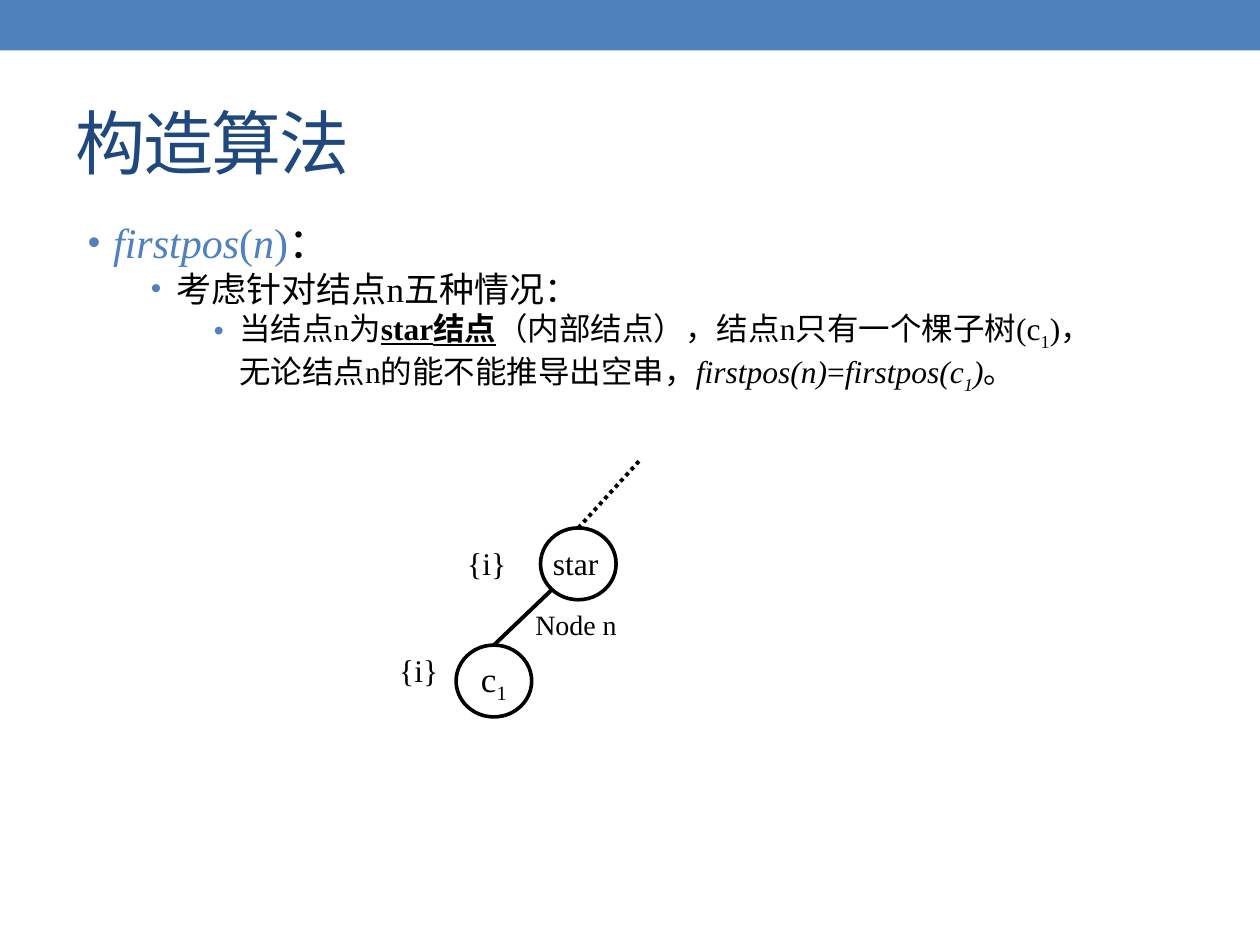
import pptx
import pptx.util
import pptx.dml.color
import pptx.enum.dml
import pptx.enum.shapes
import pptx.enum.text
import pptx.oxml.ns
from lxml import etree

Inches, Pt = pptx.util.Inches, pptx.util.Pt
SHAPE = pptx.enum.shapes.MSO_SHAPE
ANCHOR = pptx.enum.text.MSO_ANCHOR
ALIGN = pptx.enum.text.PP_ALIGN
qn = pptx.oxml.ns.qn

COLORS = {"accent": "4F81BD", "title": "1F497D", "ink": "000000"}
LATIN, CJK = "Times New Roman", "Noto Sans CJK SC"
NODE_W, NODE_H = 0.6, 0.57


def rgb(name):
    return pptx.dml.color.RGBColor.from_string(COLORS[name])


def add_run(paragraph, text, size, color="ink", latin=LATIN, style=""):
    """Style letters: b bold, u underline, i italic, s subscript."""
    run = paragraph.add_run()
    run.text = text
    font = run.font
    font.size, font.name = Pt(size), latin
    font.color.rgb = rgb(color)
    font.bold, font.italic, font.underline = "b" in style, "i" in style, "u" in style
    props = run._r.get_or_add_rPr()
    latin_tag = props.find(qn("a:latin"))
    east_asian = etree.Element(qn("a:ea"), typeface=CJK)
    latin_tag.addnext(east_asian)
    if "s" in style:
        props.set("baseline", "-25000")
    return run


def add_text(slide, left, top, width, height):
    frame = slide.shapes.add_textbox(
        Inches(left), Inches(top), Inches(width), Inches(height)).text_frame
    frame.word_wrap = True
    return frame


def add_label(slide, text, left, top, width, height=0.4, size=18):
    frame = add_text(slide, left, top, width, height)
    add_run(frame.paragraphs[0], text, size)


def set_bullet(paragraph, indent, percent):
    props = paragraph._p.get_or_add_pPr()
    props.set("marL", str(Inches(indent)))
    props.set("indent", str(-Inches(0.2)))
    color = etree.SubElement(props, qn("a:buClr"))
    etree.SubElement(color, qn("a:srgbClr"), val=COLORS["accent"])
    etree.SubElement(props, qn("a:buSzPct"), val=str(percent * 1000))
    etree.SubElement(props, qn("a:buFont"), typeface="Arial")
    etree.SubElement(props, qn("a:buChar"), char="•")


def add_node(slide, left, top):
    node = slide.shapes.add_shape(
        SHAPE.OVAL, Inches(left), Inches(top), Inches(NODE_W), Inches(NODE_H))
    node.shadow.inherit = False
    node.fill.background()
    node.line.color.rgb = rgb("ink")
    node.line.width = Pt(2.08)
    return node


def add_edge(slide, start, end, dash=None):
    edge = slide.shapes.add_connector(
        pptx.enum.shapes.MSO_CONNECTOR.STRAIGHT, *map(Inches, start + end))
    edge.line.color.rgb = rgb("ink")
    edge.line.width = Pt(2.25)
    if dash:
        edge.line.dash_style = dash
    etree.SubElement(edge._element.spPr, qn("a:effectLst"))
    return edge


def add_header(slide):
    band = slide.shapes.add_shape(SHAPE.RECTANGLE, 0, 0, Inches(10), Inches(0.4))
    band.shadow.inherit = False
    band.fill.solid()
    band.fill.fore_color.rgb = rgb("accent")
    band.line.fill.background()

    title = add_text(slide, 0.5, 0.58, 9, 1.08)
    title.vertical_anchor = ANCHOR.MIDDLE
    run = add_run(title.paragraphs[0], "构造算法", 40, "title", CJK)
    run._r.get_or_add_rPr().set("spc", "-100")


def add_outline(slide):
    # Each level: left indent, bullet percent, text size, (text, style, color) runs
    levels = [
        (0.2, 85, 24, [("firstpos", "i", "accent"), ("(", "", "accent"),
                       ("n", "i", "accent"), (")", "", "accent"), ("：", "", "ink")]),
        (0.7, 85, 20, [("考虑针对结点n五种情况：", "", "ink")]),
        (1.2, 90, 18, [("当结点n为", "", "ink"), ("star结点", "bu", "ink"),
                       ("（内部结点），结点n只有一个棵子树(c", "", "ink"),
                       ("1", "s", "ink"),
                       (")，无论结点n的能不能推导出空串，", "", "ink"),
                       ("firstpos(n)", "i", "ink"), ("=", "", "ink"),
                       ("firstpos(c", "i", "ink"), ("1", "is", "ink"),
                       (")", "i", "ink"), ("。", "", "ink")]),
    ]
    body = add_text(slide, 0.6, 1.67, 8.44, 5.59)
    body.margin_right = Inches(0.3)
    for level, (indent, percent, size, runs) in enumerate(levels):
        paragraph = body.paragraphs[0] if level == 0 else body.add_paragraph()
        paragraph.level = level
        set_bullet(paragraph, indent, percent)
        for text, style, color in runs:
            add_run(paragraph, text, size, color, style=style)


def add_tree(slide):
    # Nodes
    star = add_node(slide, 4.29, 4.19)
    child = add_node(slide, 3.62, 5.12)
    child_text = child.text_frame
    child_text.word_wrap = False
    child_text.vertical_anchor = ANCHOR.MIDDLE
    child_text.paragraphs[0].alignment = ALIGN.CENTER
    add_run(child_text.paragraphs[0], "c", 20)
    add_run(child_text.paragraphs[0], "1", 20, style="s")

    # Edges to the parent and to the child
    parent_edge = add_edge(slide, (4.59, 4.19), (5.09, 3.64),
                           pptx.enum.dml.MSO_LINE.ROUND_DOT)
    parent_edge.begin_connect(star, 0)
    child_edge = add_edge(slide, (4.38, 4.68), (3.92, 5.12))
    child_edge.end_connect(child, 0)

    # Labels
    add_label(slide, "Node n", 4.15, 4.77, 1.69, 0.37, size=16)
    add_label(slide, "{i}", 3.07, 5.12, 1.08)
    add_label(slide, "{i}", 3.61, 4.27, 0.77)
    add_label(slide, "star", 4.29, 4.27, 0.61)


def main():
    deck = pptx.Presentation()
    deck.slide_width, deck.slide_height = Inches(10), Inches(7.5)
    slide = deck.slides.add_slide(deck.slide_layouts[6])
    add_header(slide)
    add_outline(slide)
    add_tree(slide)
    deck.save("out.pptx")


if __name__ == "__main__":
    main()
